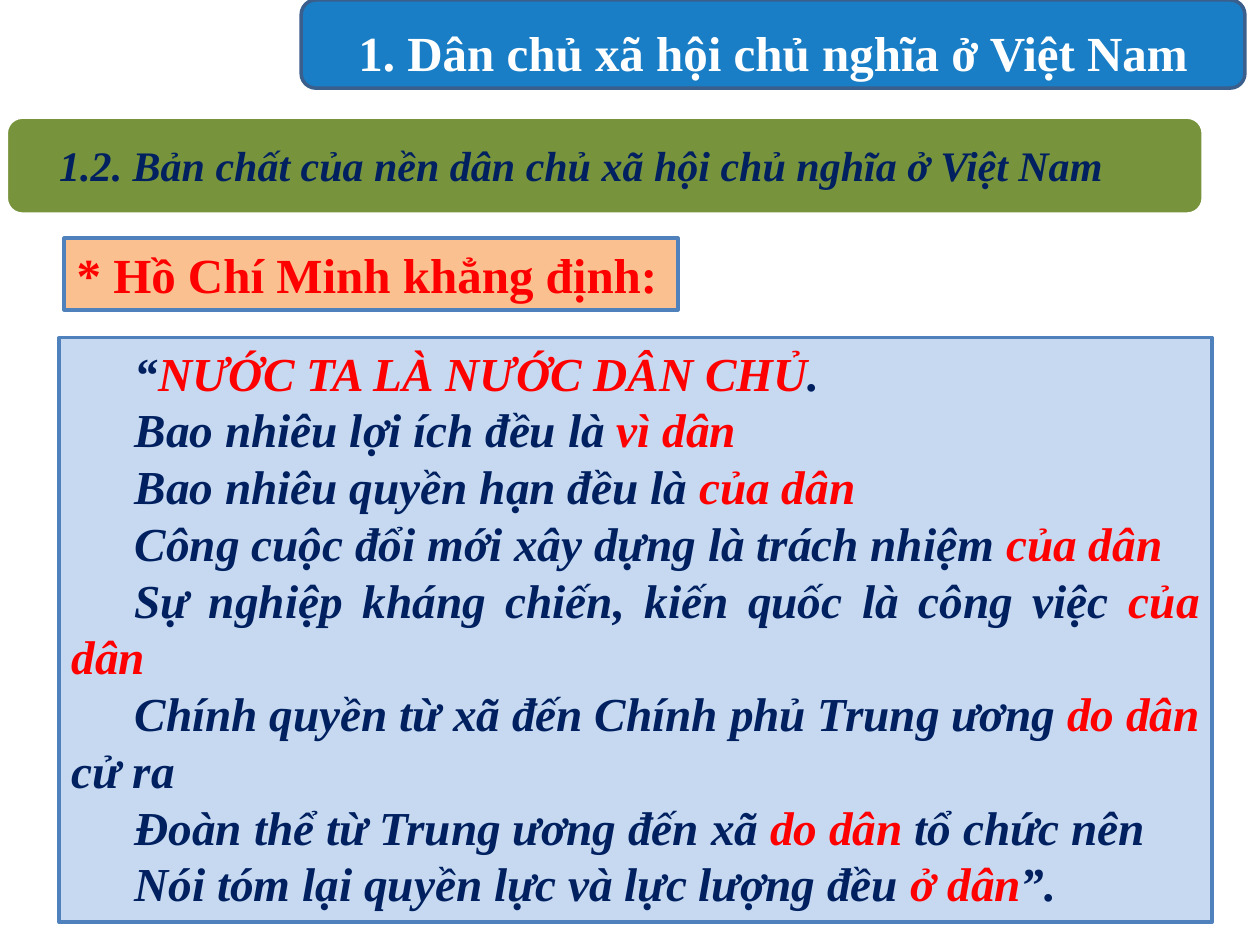
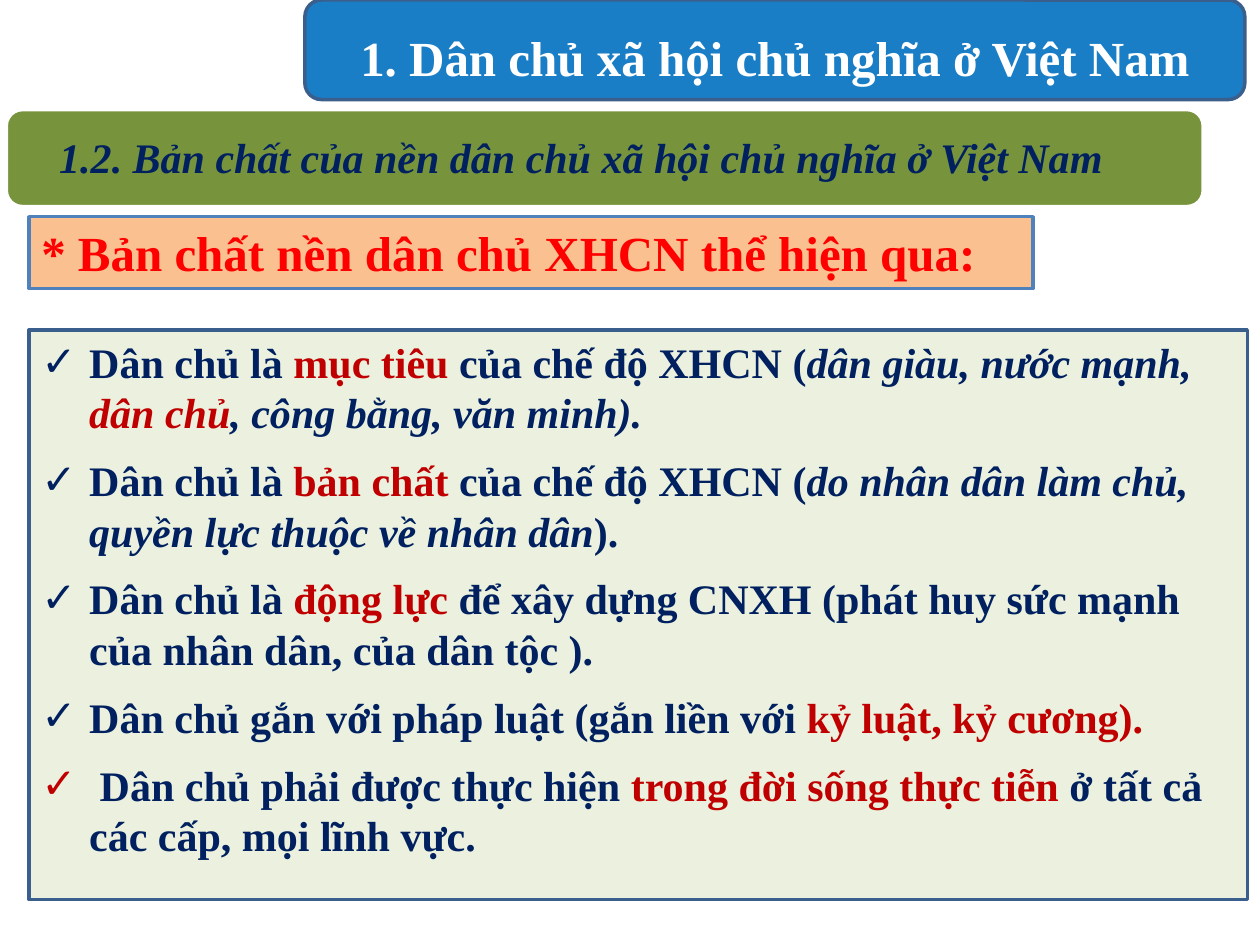
import pptx
import pptx.util
import pptx.dml.color
import pptx.enum.shapes
import pptx.enum.text
from lxml import etree
from pptx.oxml.ns import qn

Inches, Pt = pptx.util.Inches, pptx.util.Pt
SHAPE = pptx.enum.shapes.MSO_SHAPE
ALIGN = pptx.enum.text.PP_ALIGN
ANCHOR = pptx.enum.text.MSO_ANCHOR

FONT = "Times New Roman"
COLORS = {
    "band": "0070C0", "edge": "3A5F8C", "green": "77933C", "white": "FFFFFF",
    "navy": "002060", "red": "FF0000", "dark red": "C00000", "blue": "4F81BD",
    "peach": "FAC090", "sky": "C6D9F1", "mint": "EBF1DE",
}
TITLE = "1. Dân chủ xã hội chủ nghĩa ở Việt Nam"
TOPIC = "1.2. Bản chất của nền dân chủ xã hội chủ nghĩa ở Việt Nam"

# In the body lines, "|" switches the accent colour and "/" the italics.
SLIDES = [
    {
        "title": (2.39, 0, 7.49, 0.7),
        "topic": 0.93,
        "head": ("* Hồ Chí Minh khẳng định:", (0.51, 1.89, 4.87, 0.57)),
        "box": (0.47, 2.68, 9.15, 4.64),
        "fill": "sky", "line": "blue", "accent": "red",
        "size": 27, "italic": True, "list": False,
        "body": [
            "“|NƯỚC TA LÀ NƯỚC DÂN CHỦ|.",
            "Bao nhiêu lợi ích đều là |vì dân",
            "Bao nhiêu quyền hạn đều là |của dân",
            "Công cuộc đổi mới xây dựng là trách nhiệm |của dân",
            "Sự nghiệp kháng chiến, kiến quốc là công việc |của dân",
            "Chính quyền từ xã đến Chính phủ Trung ương |do dân| cử ra",
            "Đoàn thể từ Trung ương đến xã |do dân |tổ chức nên",
            "Nói tóm lại quyền lực và lực lượng đều |ở dân|”.",
        ],
    },
    {
        "title": (2.42, 0, 7.46, 0.79),
        "topic": 0.87,
        "head": ("* Bản chất nền dân chủ XHCN thể hiện qua:",
                 (0.23, 1.72, 7.97, 0.57)),
        "box": (0.23, 2.62, 9.67, 4.52),
        "fill": "mint", "line": "edge", "accent": "dark red",
        "size": 24, "italic": False, "list": True,
        "body": [
            "Dân chủ là |mục tiêu |của chế độ XHCN (/dân giàu, nước mạnh, "
            "|dân chủ|, công bằng, văn minh).",
            "Dân chủ là |bản chất |của chế độ XHCN (/do nhân dân làm chủ, "
            "quyền lực thuộc về nhân dân/).",
            "Dân chủ là |động lực |để xây dựng CNXH (phát huy sức mạnh "
            "của nhân dân, của dân tộc ).",
            "Dân chủ gắn với pháp luật (gắn liền với |kỷ luật, kỷ cương).",
            "| |Dân chủ phải được thực hiện |trong đời sống thực tiễn |"
            "ở tất cả các cấp, mọi lĩnh vực.",
        ],
    },
]


def color(name):
    return pptx.dml.color.RGBColor.from_string(COLORS[name])


def add_box(slide, kind, place, fill, line):
    shape = slide.shapes.add_shape(kind, *map(Inches, place))
    shape.shadow.inherit = False
    shape.fill.solid()
    shape.fill.fore_color.rgb = color(fill)
    shape.line.color.rgb = color(line)
    shape.line.width = Pt(2)
    return shape


def set_frame(shape, anchor, left=0.1, top=0.05, right=0.1, bottom=0.05):
    frame = shape.text_frame
    frame.word_wrap = True
    frame.vertical_anchor = anchor
    frame.margin_left, frame.margin_right = Inches(left), Inches(right)
    frame.margin_top, frame.margin_bottom = Inches(top), Inches(bottom)
    return frame


def style(run, size, tint, italic=False):
    font = run.font
    font.name, font.size = FONT, Pt(size)
    font.bold, font.italic = True, italic
    font.color.rgb = color(tint)


def write(frame, text, size, tint, align, italic=False):
    frame.text = text
    para = frame.paragraphs[0]
    para.alignment = align
    style(para.runs[0], size, tint, italic)


def add_title(slide, place):
    band = add_box(slide, SHAPE.ROUNDED_RECTANGLE, place, "band", "edge")
    tint = band.fill._xPr.find(qn("a:solidFill"))[0]
    etree.SubElement(tint, qn("a:alpha"), val="90000")
    frame = set_frame(band, ANCHOR.MIDDLE, top=0.17)
    write(frame, TITLE, 28, "white", ALIGN.CENTER)


def add_topic(slide, top):
    add_box(slide, SHAPE.ROUNDED_RECTANGLE, (0.05, top, 9.5, 0.77),
            "green", "white")
    label = slide.shapes.add_textbox(
        *map(Inches, (0.23, top + 0.03, 9.39, 0.69)))
    frame = set_frame(label, ANCHOR.MIDDLE, 0.24, 0, 0.24, 0)
    write(frame, TOPIC, 24, "navy", ALIGN.LEFT, True)


def add_head(slide, text, place):
    box = add_box(slide, SHAPE.RECTANGLE, place, "peach", "blue")
    frame = set_frame(box, ANCHOR.TOP, right=0)
    write(frame, text, 28, "red", ALIGN.JUSTIFY)


def indent(para, left, first, mark=None):
    props = para._p.get_or_add_pPr()
    props.set("marL", str(Inches(left)))
    props.set("indent", str(Inches(first)))
    if mark:
        etree.SubElement(props, qn("a:buFont"), typeface="Arial")
        etree.SubElement(props, qn("a:buChar"), char=mark)


def add_runs(para, text, data):
    """Turn the marks in a line into coloured and italic runs."""
    italic = data["italic"]
    for i, part in enumerate(text.split("|")):
        tint = data["accent"] if i % 2 else "navy"
        for j, bit in enumerate(part.split("/")):
            if j:
                italic = not italic
            if bit:
                run = para.add_run()
                run.text = bit
                style(run, data["size"], tint, italic)


def add_body(slide, data):
    box = add_box(slide, SHAPE.RECTANGLE, data["box"],
                  data["fill"], data["line"])
    frame = set_frame(box, ANCHOR.TOP)
    for i, text in enumerate(data["body"]):
        para = frame.add_paragraph() if i else frame.paragraphs[0]
        if data["list"]:
            para.alignment = ALIGN.LEFT
            if i:
                para.space_before = Pt(10)
            indent(para, 0.38, -0.38, "✓")
        else:
            para.alignment = ALIGN.JUSTIFY
            indent(para, 0, 0.5)
        add_runs(para, text, data)


def main():
    deck = pptx.Presentation()
    deck.slide_width, deck.slide_height = Inches(10), Inches(7.5)
    for data in SLIDES:
        slide = deck.slides.add_slide(deck.slide_layouts[6])
        add_title(slide, data["title"])
        add_topic(slide, data["topic"])
        add_body(slide, data)
        add_head(slide, *data["head"])
    deck.save("out.pptx")


if __name__ == "__main__":
    main()
